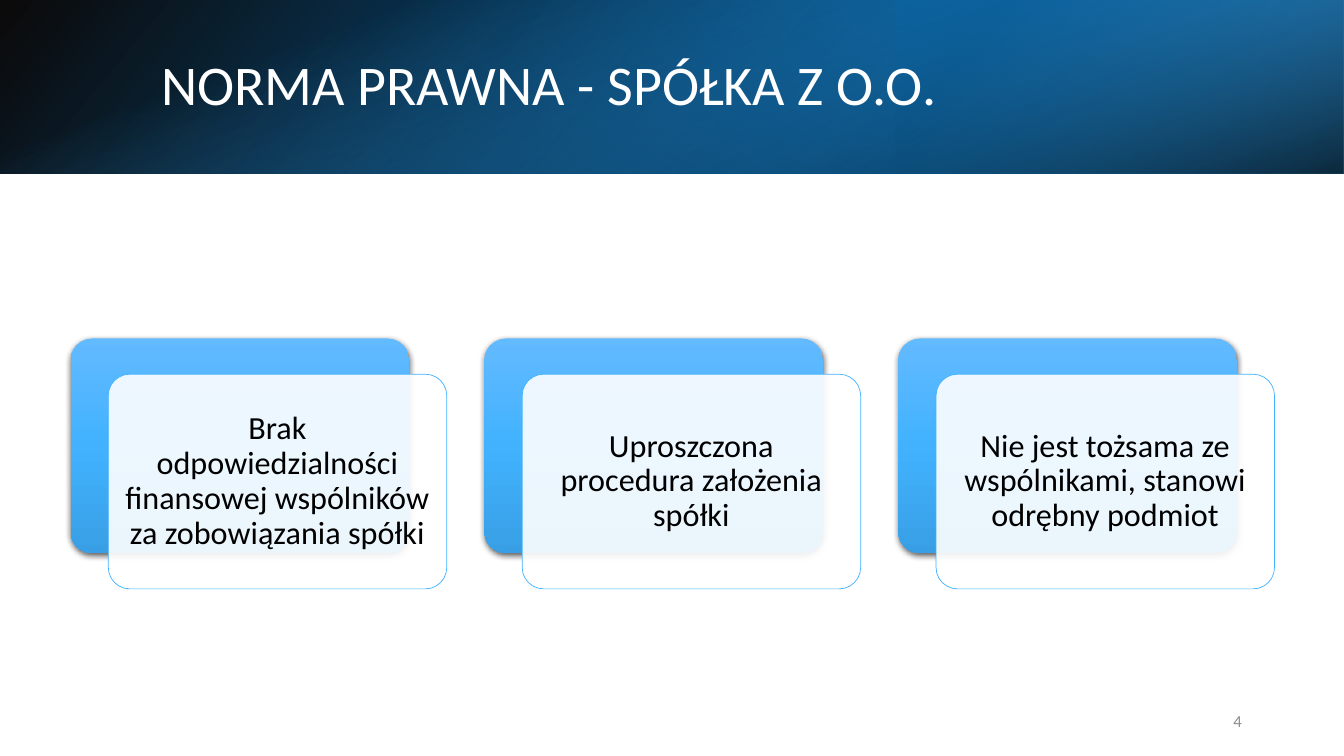
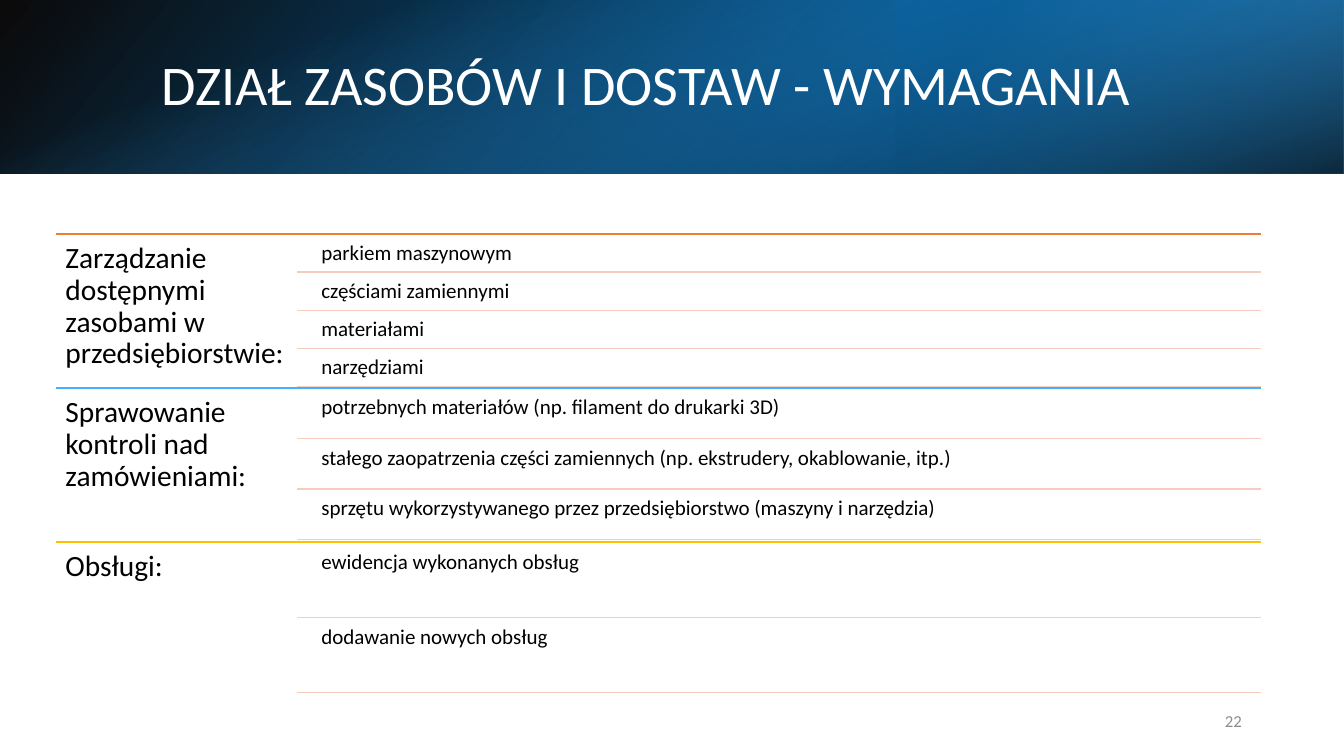
from pptx import Presentation
from pptx.dml.color import RGBColor
from pptx.enum.shapes import MSO_CONNECTOR as Conn, MSO_SHAPE as Shape
from pptx.enum.text import MSO_ANCHOR as Anchor, PP_ALIGN as Align
from pptx.oxml import parse_xml
from pptx.oxml.ns import nsdecls, qn
from pptx.util import Cm, Pt

WIDE, HIGH, BAND = 33.87, 19.05, 4.37  # slide size and band height, cm


class Deck:
    font = "Calibri"
    hues = {
        "white": "FFFFFF", "black": "000000", "grey": "8C8C8C",
        "blue": "42B2FF", "light": "62BAFF", "deep": "389FE5",
        "azure": "008FF1", "navy": "005FA0",
        "orange": "ED7D31", "gold": "FFC000", "pink": "F6CCBE",
    }

    def __init__(self):
        self.prs = Presentation()
        self.prs.slide_width, self.prs.slide_height = Cm(WIDE), Cm(HIGH)
        self.slide = None

    def rgb(self, hue):
        return RGBColor.from_string(self.hues[hue])

    # Slide with its bands, title and number
    def start(self, title, number):
        self.slide = self.prs.slides.add_slide(self.prs.slide_layouts[5])
        self.bands()
        self.title(title)
        self.text(str(number), (23.93, 17.65, 7.62, 1.02), 12, "grey",
                  align=Align.RIGHT, anchor=Anchor.MIDDLE, space=1)

    def bands(self):
        third = WIDE / 3
        side = (WIDE - BAND) / 2
        self.block((0, 0, WIDE, BAND), flip=True, angle=140,
                   stops=[(0, "black", 96), (100, "azure", 100)])
        self.block((WIDE - third, 0, third, BAND), turn=180, flip=True, angle=320,
                   stops=[(19, "navy", 68), (100, "blue", 79)])
        self.block((side, -side, BAND, WIDE), turn=90, angle=340,
                   stops=[(23, "blue", 0), (99, "black", 74)])

    def title(self, words):
        head = self.slide.shapes.title
        self.slide.shapes._spTree.append(head._element)  # in front of the bands
        head.left, head.top, head.width, head.height = map(Cm, (3.81, 0.97, 27.89, 2.44))
        self.label(head.text_frame, words, 40, "white", Align.LEFT, Anchor.MIDDLE)

    # Text
    def label(self, frame, words, size, hue, align, anchor, inset=None, space=0.9):
        frame.word_wrap = True
        frame.vertical_anchor = anchor
        if inset is not None:
            frame.margin_left = frame.margin_right = Cm(inset)
            frame.margin_top = frame.margin_bottom = Cm(inset)
        para = frame.paragraphs[0]
        para.alignment, para.line_spacing = align, space
        run = para.add_run()
        run.text = words
        run.font.name, run.font.size = self.font, Pt(size)
        run.font.color.rgb = self.rgb(hue)

    def text(self, words, box, size, hue="black", align=Align.LEFT,
             anchor=Anchor.TOP, inset=None, space=0.9):
        frame = self.slide.shapes.add_textbox(*map(Cm, box)).text_frame
        self.label(frame, words, size, hue, align, anchor, inset, space)

    # Shapes
    def block(self, box, stops, angle, kind=Shape.RECTANGLE, turn=0, flip=False):
        shape = self.slide.shapes.add_shape(kind, *map(Cm, box))
        shape.shadow.inherit = False
        shape.line.fill.background()
        shape.fill.background()
        shape.rotation = turn
        props = shape._element.spPr
        if flip:
            props.find(qn("a:xfrm")).set("flipH", "1")
        marks = "".join(
            f'<a:gs pos="{at * 1000}"><a:srgbClr val="{self.hues[hue]}">'
            f'<a:alpha val="{alpha * 1000}"/></a:srgbClr></a:gs>'
            for at, hue, alpha in stops)
        props.replace(props.find(qn("a:noFill")), parse_xml(
            f'<a:gradFill {nsdecls("a")} rotWithShape="1"><a:gsLst>{marks}</a:gsLst>'
            f'<a:lin ang="{angle * 60000}" scaled="0"/></a:gradFill>'))
        return shape

    def card(self, words, x, y, wide=8.53, high=5.41):
        back = self.block((x, y, wide, high), angle=90, kind=Shape.ROUNDED_RECTANGLE,
                          stops=[(0, "light", 100), (50, "blue", 100), (100, "deep", 100)])
        back._element.spPr.find(qn("a:effectLst")).append(parse_xml(
            f'<a:outerShdw {nsdecls("a")} blurRad="{Pt(4.5)}" dist="{Pt(1.5)}" '
            f'dir="5400000" algn="ctr" rotWithShape="0"><a:srgbClr val="{self.hues["black"]}">'
            '<a:alpha val="63000"/></a:srgbClr></a:outerShdw>'))
        front = self.slide.shapes.add_shape(
            Shape.ROUNDED_RECTANGLE, *map(Cm, (x + 0.95, y + 0.9, wide, high)))
        front.shadow.inherit = False
        front.fill.solid()
        front.fill.fore_color.rgb = self.rgb("white")
        tint = front._element.spPr.find(qn("a:solidFill"))[0]
        tint.append(parse_xml(f'<a:alpha {nsdecls("a")} val="90000"/>'))
        front.line.color.rgb = self.rgb("blue")
        front.line.width = Pt(0.5)
        for shape in (back, front):
            shape.adjustments[0] = 0.1
        self.label(front.text_frame, words, 23, "black", Align.CENTER, Anchor.MIDDLE, 0.25)

    def rule(self, x, end, y, hue):
        line = self.slide.shapes.add_connector(Conn.STRAIGHT, Cm(x), Cm(y), Cm(end), Cm(y))
        line.line.color.rgb = self.rgb(hue)
        line.line.width = Pt(1)
        line._element.spPr.append(parse_xml(f'<a:effectLst {nsdecls("a")}/>'))

    # Section: a heading beside ruled rows, each gap a twentieth of a row
    def section(self, head, items, y, high, hue):
        left, mid, right = 1.42, 7.49, 31.78
        self.rule(left, right, y, hue)
        self.text(head, (left, y, mid - left, high), 21, inset=0.23)
        count = len(items)
        row = high / (count + 0.05 * (count + 1))
        gap = row * 0.05
        for i, item in enumerate(items):
            top = y + gap + i * (row + gap)
            self.text(item, (mid + 0.46, top, right - mid - 0.46, row), 15, inset=0.15)
            self.rule(mid, right, top + row, "pink")


def main():
    deck = Deck()

    # Legal form
    deck.start("NORMA PRAWNA - SPÓŁKA Z O.O.", 4)
    cards = [
        "Brak odpowiedzialności finansowej wspólników za zobowiązania spółki",
        "Uproszczona procedura założenia spółki",
        "Nie jest tożsama ze wspólnikami, stanowi odrębny podmiot",
    ]
    for i, words in enumerate(cards):
        deck.card(words, 1.78 + i * 10.43, 8.53)

    # Supply department
    deck.start("DZIAŁ ZASOBÓW I DOSTAW - WYMAGANIA", 22)
    parts = [
        ("Zarządzanie dostępnymi zasobami w przedsiębiorstwie:", "orange",
         ["parkiem maszynowym", "częściami zamiennymi", "materiałami", "narzędziami"]),
        ("Sprawowanie kontroli nad zamówieniami:", "blue",
         ["potrzebnych materiałów (np. filament do drukarki 3D)",
          "stałego zaopatrzenia części zamiennych (np. ekstrudery, okablowanie, itp.)",
          "sprzętu wykorzystywanego przez przedsiębiorstwo (maszyny i narzędzia)"]),
        ("Obsługi:", "gold",
         ["ewidencja wykonanych obsług", "dodawanie nowych obsług"]),
    ]
    high = 3.88
    for i, (head, hue, items) in enumerate(parts):
        deck.section(head, items, 5.9 + i * high, high, hue)

    deck.prs.save("out.pptx")


if __name__ == "__main__":
    main()
